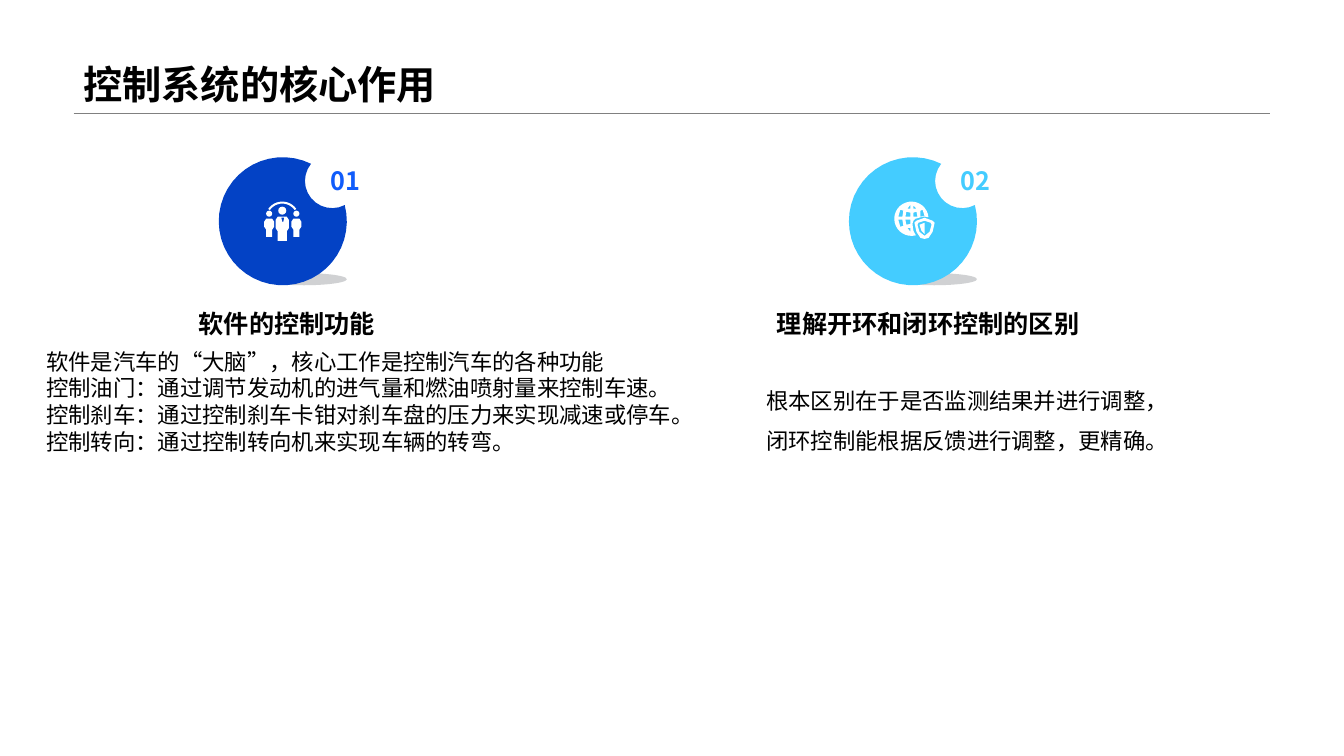
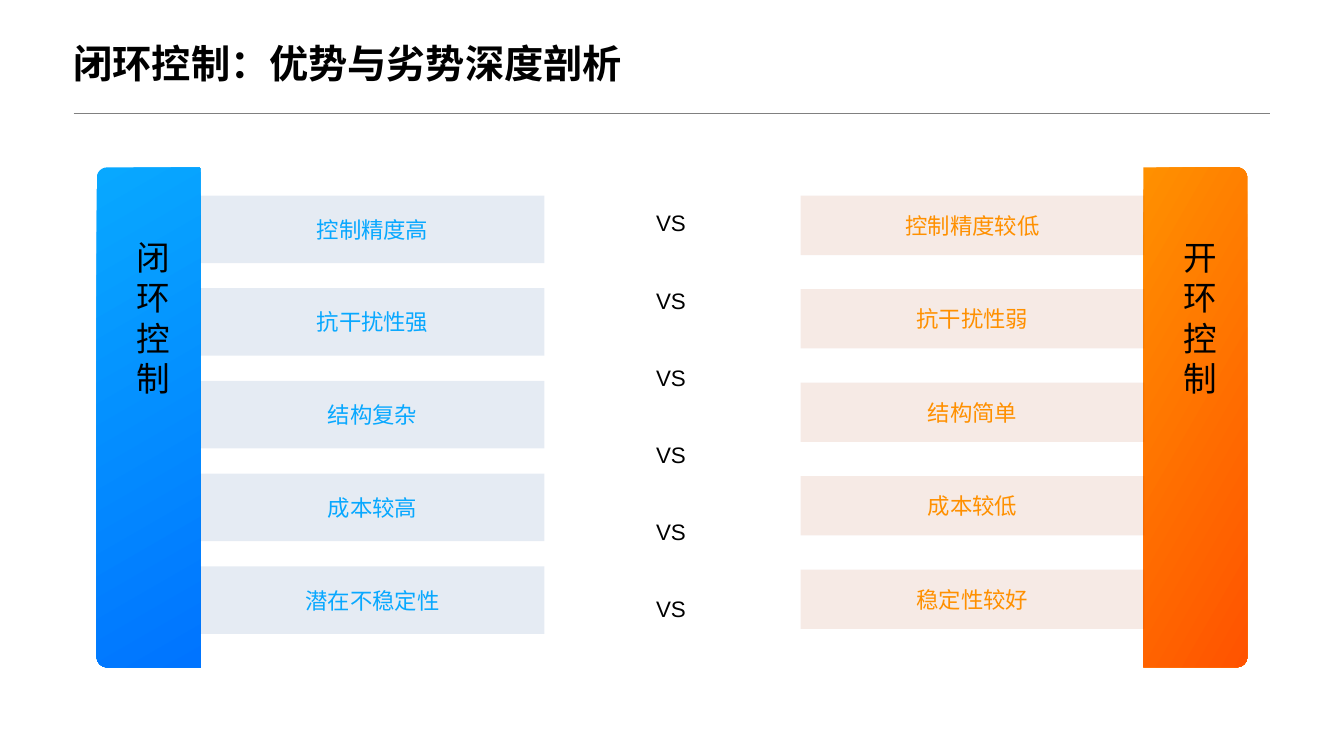
from dataclasses import dataclass
from math import acos, atan2, cos, hypot, pi, radians, sin

from lxml.etree import SubElement
from pptx import Presentation
from pptx.dml.color import RGBColor
from pptx.enum.shapes import MSO_CONNECTOR, MSO_SHAPE
from pptx.enum.text import MSO_ANCHOR, PP_ALIGN
from pptx.oxml.ns import qn
from pptx.util import Inches, Pt


@dataclass(frozen=True)
class Theme:
    ink: str = "000000"
    paper: str = "FFFFFF"
    rule: str = "808080"
    shade: str = "53585F"
    navy: str = "0342C5"
    blue: str = "105CFB"
    sky: str = "44CCFF"
    cool: tuple = ("08A8FF", "0074FF")
    warm: tuple = ("FF9000", "FF5300")
    mist: str = "004292"
    sand: str = "A83800"
    title: int = 28
    side: int = 24
    head: int = 18
    body: int = 16
    latin: str = "Arial"
    asian: str = "Noto Sans CJK SC"


T = Theme()


def rgb(code):
    return RGBColor.from_string(code)


def span(box):
    return [Inches(n) for n in box]


def paint(shape, color, alpha=None):
    """Give a plain fill, with opacity in percent, and no line or shadow."""
    shape.shadow.inherit = False
    shape.line.fill.background()
    shape.fill.solid()
    shape.fill.fore_color.rgb = rgb(color)
    if alpha is not None:
        tint = shape.fill._xPr.find(qn("a:solidFill"))[0]
        SubElement(tint, qn("a:alpha")).set("val", str(alpha * 1000))
    return shape


def block(shapes, kind, box, color, alpha=None):
    return paint(shapes.add_shape(kind, *span(box)), color, alpha)


def outline(shapes, x, y, loops, color):
    """Draw closed loops as one shape; a loop inside another is a hole."""
    pen = None
    for loop in loops:
        dots = [(Inches(x + a), Inches(y + b)) for a, b in loop]
        if pen is None:
            pen = shapes.build_freeform(*dots[0])
        else:
            pen.move_to(*dots[0])
        pen.add_line_segments(dots[1:], close=True)
    return paint(pen.convert_to_shape(), color)


def arc(x, y, r, start, end, steps=12):
    turns = [start + (end - start) * i / steps for i in range(steps + 1)]
    return [(x + r * cos(a), y + r * sin(a)) for a in turns]


def write(shape, words, size=T.body, color=T.ink, font=T.asian, bold=False,
          align=PP_ALIGN.LEFT, anchor=MSO_ANCHOR.TOP, space=1.0, pad=None):
    """Fill a shape with text, one paragraph for each line of words."""
    frame = shape.text_frame
    frame.word_wrap = True
    frame.vertical_anchor = anchor
    if pad is not None:
        frame.margin_left = frame.margin_right = Inches(pad)
        frame.margin_top = frame.margin_bottom = Inches(pad)
    for i, line in enumerate(words.split("\n")):
        para = frame.add_paragraph() if i else frame.paragraphs[0]
        para.alignment = align
        para.line_spacing = space
        run = para.add_run()
        run.text = line
        run.font.size = Pt(size)
        run.font.bold = bold
        run.font.color.rgb = rgb(color)
        run.font.name = font
        SubElement(run.font._element, qn("a:ea")).set("typeface", T.asian)


def label(shapes, box, words, **style):
    write(shapes.add_textbox(*span(box)), words, **style)


def page(deck, title, **style):
    """Add a blank slide with the shared rule and title."""
    shapes = deck.slides.add_slide(deck.slide_layouts[6]).shapes
    rule = shapes.add_connector(
        MSO_CONNECTOR.STRAIGHT, *span((0.73, 1.12, 12.6, 1.12)))
    rule.line.color.rgb = rgb(T.rule)
    rule.line.width = Pt(0.25)
    SubElement(rule._element.spPr, qn("a:effectLst"))
    label(shapes, (0.73, 0, 11.87, 1.12), title, size=T.title,
          font=T.latin, bold=True, **style)
    return shapes


def team():
    """Loops for three people under an arc."""
    loops = []
    people = ((0.05, 0.17, 0.1, 0.18, 0.03), (0.32, 0.17, 0.1, 0.18, 0.03),
              (0.18, 0.15, 0.13, 0.24, 0.04))
    for mid, top, wide, tall, head in people:
        half, waist, low = wide / 2, top + tall * 0.6, top + tall
        leg = half - 0.02
        loops.append([
            (mid - half + 0.02, top), (mid + half - 0.02, top),
            (mid + half, top + 0.03), (mid + half, waist - 0.03),
            (mid + leg, waist), (mid + leg, low), (mid - leg, low),
            (mid - leg, waist), (mid - half, waist - 0.03),
            (mid - half, top + 0.03)])
        loops.append(arc(mid, top - head - 0.02, head, 0, 2 * pi))
    loops.append([(0.17, 0.16), (0.2, 0.16), (0.19, 0.2), (0.18, 0.2)])
    ends = radians(-145), radians(-35)
    loops.append(arc(0.18, 0.17, 0.17, *ends)
                 + arc(0.18, 0.17, 0.15, *ends[::-1]))
    return loops


def globe():
    """Loops for a globe behind a shield."""
    edge = arc(0.17, 0.17, 0.17, radians(75), radians(355), 24)
    notch = [(0.31, 0.15), (0.28, 0.15), (0.21, 0.17), (0.19, 0.19),
             (0.18, 0.22), (0.19, 0.29)]
    cells = [
        [(0.04, 0.18), (0.08, 0.18), (0.09, 0.24), (0.06, 0.25)],
        [(0.11, 0.18), (0.16, 0.18), (0.16, 0.22), (0.12, 0.23)],
        [(0.06, 0.08), (0.09, 0.09), (0.08, 0.15), (0.04, 0.15)],
        [(0.12, 0.1), (0.16, 0.11), (0.16, 0.15), (0.11, 0.15)],
        [(0.19, 0.11), (0.22, 0.1), (0.23, 0.15), (0.19, 0.15)],
        [(0.26, 0.09), (0.28, 0.08), (0.3, 0.14), (0.26, 0.15)],
        [(0.13, 0.26), (0.16, 0.26), (0.16, 0.3)],
        [(0.13, 0.07), (0.16, 0.03), (0.16, 0.07)],
        [(0.19, 0.04), (0.22, 0.07), (0.19, 0.07)]]
    shield = [
        [(0.3, 0.16), (0.38, 0.19), (0.4, 0.21), (0.38, 0.3), (0.34, 0.36),
         (0.3, 0.37), (0.26, 0.36), (0.22, 0.3), (0.2, 0.21), (0.22, 0.19)],
        [(0.3, 0.19), (0.36, 0.21), (0.37, 0.23), (0.35, 0.3), (0.3, 0.34),
         (0.25, 0.3), (0.23, 0.23), (0.24, 0.21)],
        [(0.3, 0.21), (0.3, 0.32), (0.27, 0.29), (0.25, 0.23)]]
    return [edge + notch] + cells + shield


def badge(shapes, x, y, mark, color, ink, icon):
    """A numbered disc with a round bite at its upper right."""
    parts = shapes.add_group_shape().shapes
    block(parts, MSO_SHAPE.OVAL, (x + 0.42, y + 1.15, 0.85, 0.12),
          T.shade, 27)
    big, small, dx, dy = 1.27 / 2, 0.27, 0.49, -0.4
    gap, lean = hypot(dx, dy), atan2(dy, dx)
    wide = acos((gap**2 + big**2 - small**2) / (2 * gap * big))
    bite = acos((gap**2 + small**2 - big**2) / (2 * gap * small))
    rim = arc(big, big, big, lean + wide, lean + 2 * pi - wide, 40)
    notch = arc(big + dx, big + dy, small, lean + pi + bite, lean + pi - bite)
    outline(parts, x, y, [rim + notch], color)
    tag = parts.add_shape(MSO_SHAPE.RECTANGLE,
                          *span((x + 1.01, y + 0.04, 0.96, 0.38)))
    tag.shadow.inherit = False
    tag.fill.background()
    tag.line.fill.background()
    write(tag, mark, size=T.head, color=ink, bold=True,
          anchor=MSO_ANCHOR.MIDDLE)
    outline(parts, x + 0.45, y + 0.44, icon(), T.paper)


def topic(shapes, x, look, head, body, space):
    """A badge at x, with a heading and text in their own boxes."""
    badge(shapes, x, 1.56, *look)
    label(shapes, head[0], head[1], size=T.head, bold=True,
          align=PP_ALIGN.CENTER, anchor=MSO_ANCHOR.MIDDLE)
    label(shapes, body[0], body[1], space=space)


def tower(shapes, box, turn, angle, ends):
    """An upright bar with a colour blend, rounded on its outer side."""
    x, y, wide, tall = box
    bar = block(shapes, MSO_SHAPE.ROUND_2_SAME_RECTANGLE,
                (x + (wide - tall) / 2, y + (tall - wide) / 2, tall, wide),
                ends[0])
    bar.adjustments[0] = 0.1
    bar.rotation = turn
    bar.fill.gradient()
    bar.fill.gradient_angle = angle
    for stop, color in zip(bar.fill.gradient_stops, ends):
        stop.color.rgb = rgb(color)


def stack(shapes, box, last, items, tint, ink):
    """Equal bars, evenly spaced from the top of box to the top at last."""
    x, y, wide, tall = box
    step = (last - y) / (len(items) - 1)
    for i, item in enumerate(items):
        bar = block(shapes, MSO_SHAPE.RECTANGLE,
                    (x, y + i * step, wide, tall), tint, 10)
        write(bar, item, color=ink, align=PP_ALIGN.CENTER,
              anchor=MSO_ANCHOR.MIDDLE)


def roles(deck):
    shapes = page(deck, "控制系统的核心作用", anchor=MSO_ANCHOR.BOTTOM,
                  space=0.9)
    topic(shapes, 2.17, ("01", T.navy, T.blue, team),
          ((1.33, 3.01, 3.03, 0.4), "软件的控制功能"),
          ((0.36, 3.4, 6.45, 2.08),
           "软件是汽车的“大脑”，核心工作是控制汽车的各种功能\n"
           "控制油门：通过调节发动机的进气量和燃油喷射量来控制车速。\n"
           "控制刹车：通过控制刹车卡钳对刹车盘的压力来实现减速或停车。\n"
           "控制转向：通过控制转向机来实现车辆的转弯。"), 1.0)
    topic(shapes, 8.42, ("02", T.sky, T.sky, globe),
          ((7.58, 3.01, 3.25, 0.4), "理解开环和闭环控制的区别"),
          ((7.5, 3.66, 4.08, 0.86),
           "根本区别在于是否监测结果并进行调整，"
           "闭环控制能根据反馈进行调整，更精确。"), 1.5)


def versus(deck):
    shapes = page(deck, "闭环控制：优势与劣势深度剖析",
                  anchor=MSO_ANCHOR.MIDDLE, space=1.25, pad=0)
    tower(shapes, (0.96, 1.66, 1.03, 4.96), 270, 210, T.cool)
    tower(shapes, (11.34, 1.66, 1.03, 4.96), 90, 60, T.warm)
    for x, name in ((1.26, "闭环控制"), (11.64, "开环控制")):
        label(shapes, (x, 2.3, 0.44, 4.04), name, size=T.side,
              font=T.latin, align=PP_ALIGN.CENTER)
    stack(shapes, (1.99, 1.94, 3.41, 0.67), 5.62,
          ("控制精度高", "抗干扰性强", "结构复杂", "成本较高", "潜在不稳定性"),
          T.mist, T.cool[0])
    stack(shapes, (7.94, 1.94, 3.41, 0.59), 5.65,
          ("控制精度较低", "抗干扰性弱", "结构简单", "成本较低", "稳定性较好"),
          T.sand, T.warm[0])
    first, last, count = 2.03, 5.86, 6
    for i in range(count):
        top = first + i * (last - first) / (count - 1)
        label(shapes, (5.48, top, 2.35, 0.37), "VS",
              font=T.latin, align=PP_ALIGN.CENTER)


def main():
    deck = Presentation()
    deck.slide_width, deck.slide_height = Inches(13.33), Inches(7.5)
    roles(deck)
    versus(deck)
    deck.save("out.pptx")


if __name__ == "__main__":
    main()
